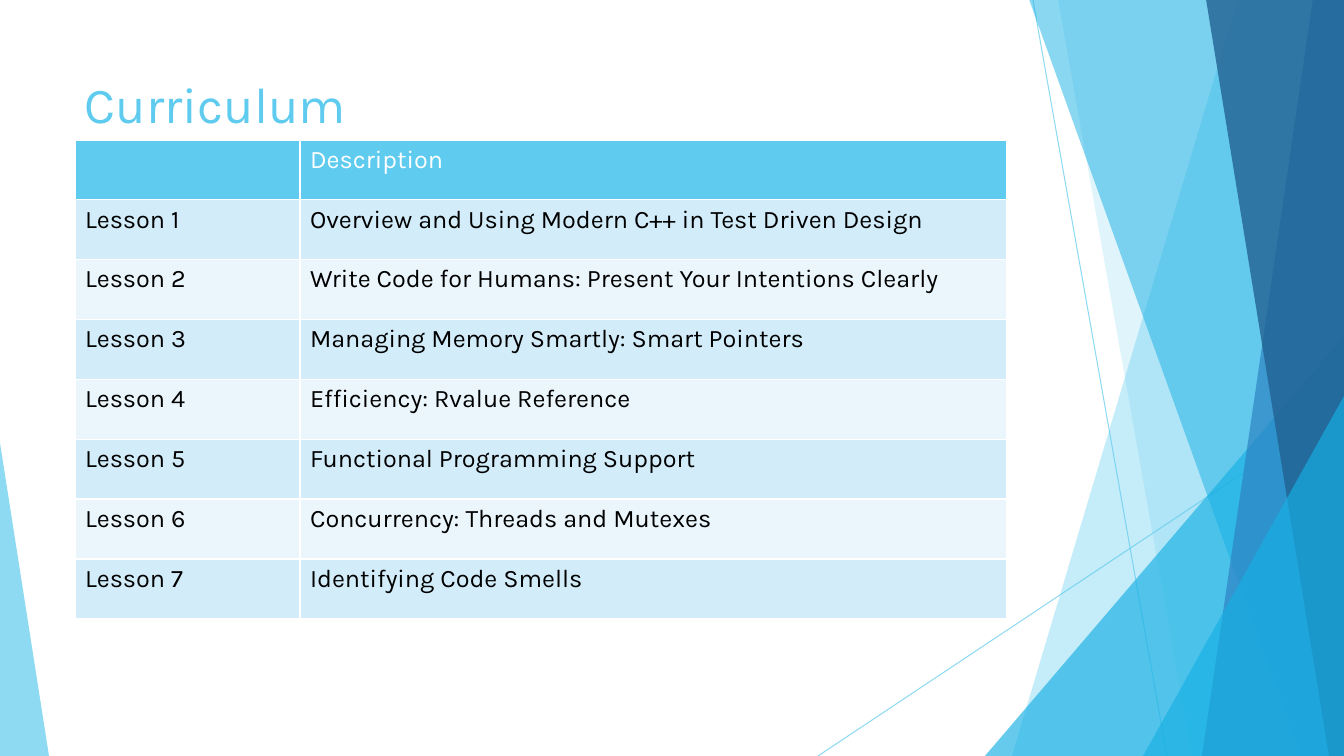
"""Build the Curriculum slide: a lesson table beside a band of blue facets."""
import pptx
import pptx.dml.color
import pptx.enum.shapes
import pptx.enum.text
import pptx.oxml
import pptx.oxml.ns
import pptx.util

PX = 914400 / 100.8
WIDTH, HEIGHT = 1344, 756
FONT = "Karla"
COLORS = {
    "sky": "5FCBEF",
    "cyan": "17B0E4",
    "blue": "2E83C3",
    "navy": "226292",
    "band_dark": "D2ECF9",
    "band_light": "EAF6FC",
    "white": "FFFFFF",
    "black": "000000",
}
LESSONS = [
    "Overview and Using Modern C++ in Test Driven Design",
    "Write Code for Humans: Present Your Intentions Clearly",
    "Managing Memory Smartly: Smart Pointers",
    "Efficiency: Rvalue Reference",
    "Functional Programming Support",
    "Concurrency: Threads and Mutexes",
    "Identifying Code Smells",
]


def paint(color_format, name, opacity=100):
    color_format.rgb = pptx.dml.color.RGBColor.from_string(COLORS[name])
    if opacity < 100:
        color = color_format._xFill.find(pptx.oxml.ns.qn("a:srgbClr"))
        alpha = pptx.oxml.parse_xml(
            f'<a:alpha {pptx.oxml.ns.nsdecls("a")} val="{opacity * 1000}"/>')
        color.append(alpha)


def write(frame, text, size, color):
    span = frame.paragraphs[0].add_run()
    span.text = text
    span.font.name = FONT
    span.font.size = pptx.util.Pt(size)
    span.font.bold = False
    paint(span.font.color, color)


deck = pptx.Presentation()
deck.slide_width = round(WIDTH * PX)
deck.slide_height = round(HEIGHT * PX)
page = deck.slides.add_slide(deck.slide_layouts[6])
shapes = page.shapes

for ends in [(1033, 0, 1167, HEIGHT), (WIDTH, 406, 818, HEIGHT)]:
    ray = shapes.add_connector(
        pptx.enum.shapes.MSO_CONNECTOR.STRAIGHT, *[round(end * PX) for end in ends])
    ray.line.width = pptx.util.Pt(0.75)
    ray.line.fill.solid()
    paint(ray.line.fill.fore_color, "sky", 70)
    ray._element.spPr.append(
        pptx.oxml.parse_xml(f'<a:effectLst {pptx.oxml.ns.nsdecls("a")}/>'))

# noqa
FACETS = [
    ("band", (1238, 1012), "sky", 36),
    ("band", (1058, 1192), "sky", 20),
    ("triangle", (985, 336, 359, 1), "cyan", 66),
    ("band", (1029, 1301), "cyan", 50),
    ("band", (1313, 1202), "blue", 70),
    ("band", (1206, 1329), "navy", 80),
    ("triangle", (1143, 396, 201, 1), "cyan", 66),
    ("triangle", (0, 443, 49, 0), "sky", 70),
]
for kind, geometry, color, opacity in FACETS:
    if kind == "band":
        top_x, bottom_x = geometry
        outline = shapes.build_freeform(top_x, -1, scale=PX)
        outline.add_line_segments([(WIDTH, -1), (WIDTH, HEIGHT), (bottom_x, HEIGHT)])
        facet = outline.convert_to_shape()
    else:
        left, top, width, apex = geometry
        facet = shapes.add_shape(
            pptx.enum.shapes.MSO_SHAPE.ISOSCELES_TRIANGLE,
            *[round(length * PX) for length in (left, top, width, HEIGHT - top)])
        facet.adjustments[0] = apex
    facet.shadow.inherit = False
    facet.line.fill.background()
    facet.fill.solid()
    paint(facet.fill.fore_color, color, opacity)

title = shapes.add_textbox(*[round(length * PX) for length in (75, 68, 948, 145)])
title.text_frame.word_wrap = True
title.text_frame.vertical_anchor = pptx.enum.text.MSO_ANCHOR.TOP
write(title.text_frame, "Curriculum", 36, "sky")

rows = [("", "Description")]
rows += [(f"Lesson {number}", topic) for number, topic in enumerate(LESSONS, 1)]
table = shapes.add_table(
    len(rows), 2, *[round(length * PX) for length in (75, 140, 932, 479)]).table
for column, width in zip(table.columns, (225, 707)):
    column.width = round(width * PX)
for index, texts in enumerate(rows):
    fill = "sky" if index == 0 else "band_dark" if index % 2 else "band_light"
    for column_index, text in enumerate(texts):
        cell = table.cell(index, column_index)
        cell.fill.solid()
        paint(cell.fill.fore_color, fill)
        if text:
            write(cell.text_frame, text, 18, "black" if index else "white")

deck.save("out.pptx")
